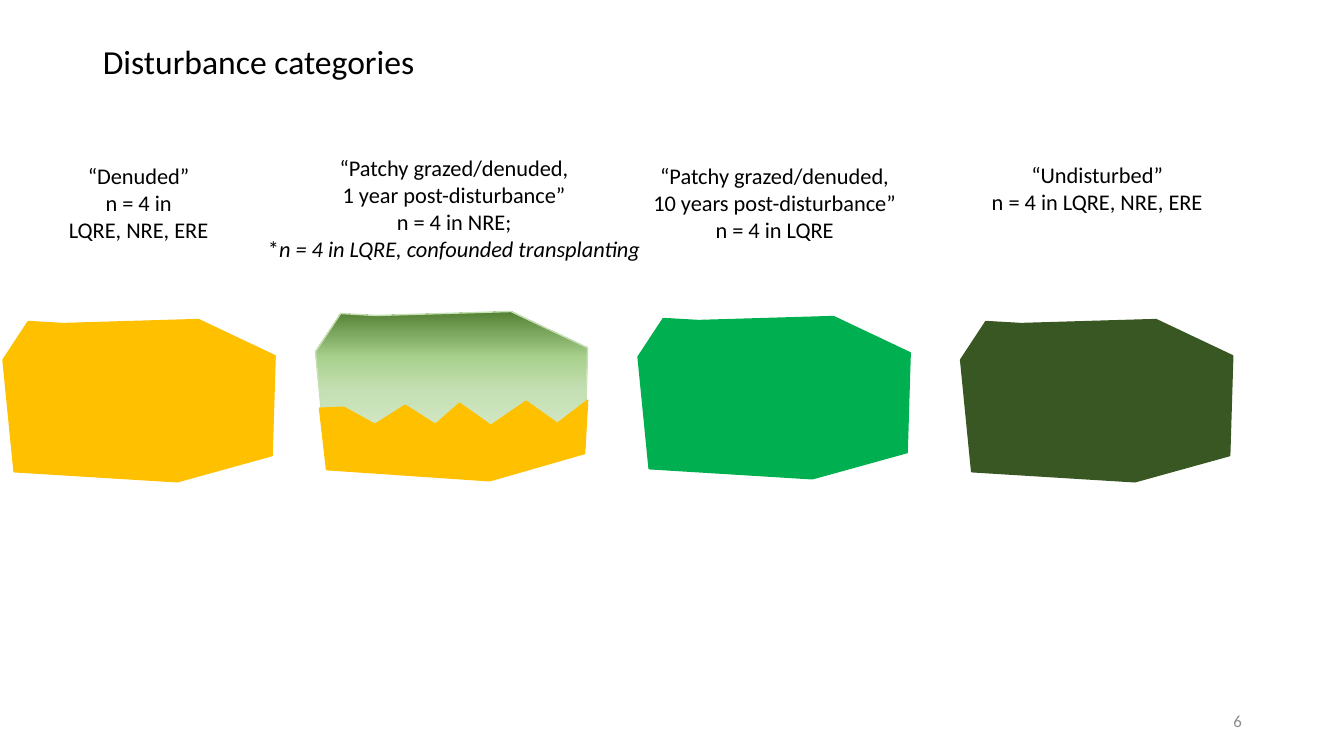
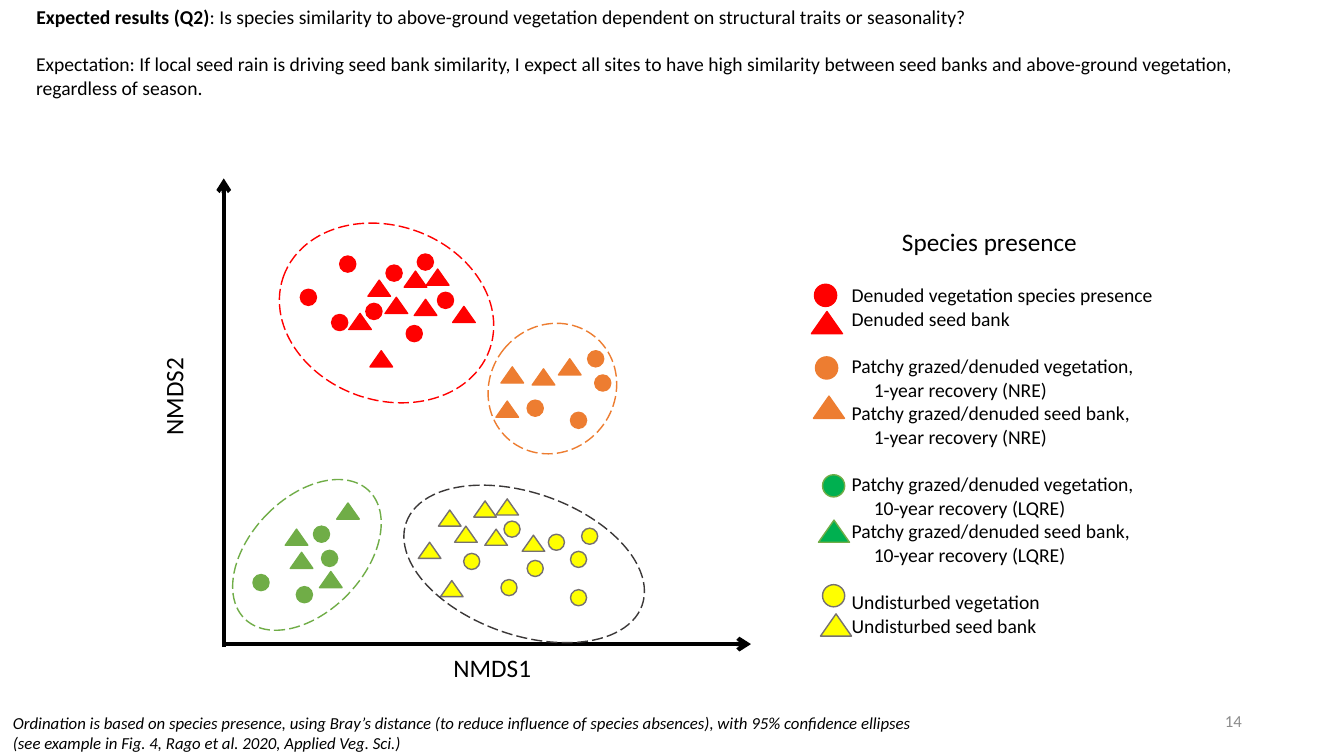
"""Build two slides on disturbance categories and expected seed bank results."""
from copy import deepcopy
from dataclasses import dataclass
from typing import Any

from lxml import etree
from pptx import Presentation
from pptx import util as u
from pptx.dml import color as dml_color
from pptx.enum import dml, shapes, text
from pptx.oxml import ns

CELL = u.Inches(0.1)
COLUMNS, ROWS = 133.33, 75
FONT = "Calibri"
BLACK, GREY = "000000", "8C8C8C"
AMBER, GREEN, PALE_GREEN, DARK_GREEN = "FFC000", "00B050", "C5E0B4", "385723"
RED, ORANGE, LEAF, YELLOW = "FF0000", "ED7D31", "70AD47", "FFFF00"
MARKER_EDGE, ELLIPSE_EDGE = "767171", "3B3838"

MEADOW_STOPS = ((0, "E2F0D9"), (0.51, PALE_GREEN), (0.71, "A9D18E"), (1, "548235"))
PLOT_OUTLINE = ((25, 2), (0, 40), (11, 151), (173, 161), (267, 135), (270, 36), (194, 0), (60, 4))
BARE_OUTLINE = ((266, 0), (236, 23), (205, 1), (170, 25), (139, 3), (115, 24), (85, 5), (55, 24),
                (24, 7), (0, 8), (7, 69), (169, 80), (263, 53))

PLAIN_BOX = {"word_wrap": False, "auto_size": text.MSO_AUTO_SIZE.NONE,
             "vertical_anchor": text.MSO_ANCHOR.TOP}
WRAPPED_BOX = PLAIN_BOX | {"word_wrap": True}
MIDDLE_BOX = WRAPPED_BOX | {"vertical_anchor": text.MSO_ANCHOR.MIDDLE}
LEFT = {"alignment": text.PP_ALIGN.LEFT}
CENTRED = {"alignment": text.PP_ALIGN.CENTER}
RIGHT = {"alignment": text.PP_ALIGN.RIGHT}
TITLE_PARAGRAPH = LEFT | {"line_spacing": 0.9}

Box = tuple[float, float, float, float]
Point = tuple[float, float]


@dataclass(frozen=True)
class Run:
    words: str
    bold: bool = False
    italic: bool = False


@dataclass(frozen=True)
class Line:
    runs: tuple[Run, ...]
    indent: float = 0
    gap: float = 0


@dataclass(frozen=True)
class Category:
    corner: Point
    fill: str
    label_box: Box
    label: tuple[Line, ...]


@dataclass(frozen=True)
class Cluster:
    fill: str
    edge: str
    key_fill: str
    key_circle: Point
    key_triangle: Point
    ellipse: Box
    tilt: float
    ellipse_edge: str
    circles: tuple[Point, ...]
    triangles: tuple[Point, ...]


def plain(*sentences: str) -> tuple[Line, ...]:
    """Make one unstyled line per sentence."""
    return tuple(Line((Run(words),)) for words in sentences)


def key_entry(first: str, recovery: str = "", gap: float = 0) -> tuple[Line, ...]:
    """Make a legend entry with an optional indented second line."""
    entry = (Line((Run(first),), gap=gap),)
    return entry + ((Line((Run(recovery),), indent=2.2),) if recovery else ())


CATEGORIES = (
    Category((0.3, 31.7), AMBER, (5.7, 15.6, 16.1, 9.1),
             plain("“Denuded”", "n = 4 in", "LQRE, NRE, ERE")),
    Category((31.3, 30.9), "", (25.3, 14.8, 39.5, 11.8),
             plain("“Patchy grazed/denuded,", "1 year post-disturbance”", "n = 4 in NRE;")
             + (Line((Run("*"), Run("n = 4 in LQRE, confounded transplanting", italic=True))),)),
    Category((63.3, 31.4), GREEN, (63.6, 15.6, 26.5, 9.1),
             plain("“Patchy grazed/denuded,", "10 years post-disturbance”", "n = 4 in LQRE")),
    Category((95.3, 31.7), DARK_GREEN, (97.2, 15.5, 23.3, 6.4),
             plain("“Undisturbed”", "n = 4 in LQRE, NRE, ERE")),
)

CLUSTERS = (
    Cluster(RED, RED, RED, (80.8, 28.2), (80.5, 30.9), (27.5, 22.4, 21.7, 17.3), 19.3, RED,
            ((33.7, 25.4), (29.8, 28.7), (43.4, 29), (36.3, 30.1),
             (32.9, 31.2), (41.4, 25.2), (38.3, 26.3), (40.3, 32.3)),
            ((36.5, 27.8), (38.2, 29.5), (40.1, 26.9), (41.1, 29.7),
             (36.7, 34.8), (44.9, 30.4), (42.3, 26.7), (34.6, 31.1))),
    Cluster(ORANGE, ORANGE, ORANGE, (80.9, 35.4), (80.7, 39.3),
            (48.6, 31.9, 12.4, 13.3), 39, ORANGE,
            ((52.3, 39.7), (59, 37.2), (56.6, 40.9), (58.3, 34.8)),
            ((52.8, 36.6), (49.2, 39.8), (55.4, 35.6), (49.7, 36.4))),
    Cluster(LEAF, LEAF, GREEN, (81.6, 47.1), (81.2, 51.6), (24.8, 46.2, 11.3, 17.7), 44, LEAF,
            ((25.1, 57), (31.9, 54.6), (29.4, 58.2), (31.1, 52.2)),
            ((33.4, 49.9), (31.7, 56.7), (28.8, 54.8), (28.3, 52.5))),
    Cluster(YELLOW, MARKER_EDGE, YELLOW, (81.6, 58), (81.4, 60.9),
            (39.6, 48.9, 24.8, 14.1), 19.3, ELLIPSE_EDGE,
            ((50, 51.7), (46, 54.9), (56.6, 54.7), (52.3, 55.6),
             (49.7, 57.5), (57.7, 52.4), (54.4, 53), (56.6, 58.5)),
            ((43.5, 50.6), (45.1, 52.2), (47, 49.7), (48.1, 52.5),
             (43.7, 57.6), (51.8, 53.1), (49.2, 49.5), (41.5, 53.8))),
)

BLOCK_GAP = 17
KEY_LINES = (
    key_entry("Denuded vegetation species presence")
    + key_entry("Denuded seed bank")
    + key_entry("Patchy grazed/denuded vegetation,", "1-year recovery (NRE)", BLOCK_GAP)
    + key_entry("Patchy grazed/denuded seed bank,", "1-year recovery (NRE)")
    + key_entry("Patchy grazed/denuded vegetation,", "10-year recovery (LQRE)", BLOCK_GAP)
    + key_entry("Patchy grazed/denuded seed bank,", "10-year recovery (LQRE)")
    + key_entry("Undisturbed vegetation", gap=BLOCK_GAP)
    + key_entry("Undisturbed seed bank")
)


def cells(*lengths: float) -> list[u.Emu]:
    """Convert grid lengths to drawing units."""
    return [u.Emu(round(length * CELL)) for length in lengths]


def rgb(value: str) -> dml_color.RGBColor:
    """Turn a hex string into a colour."""
    return dml_color.RGBColor.from_string(value)


def apply(target: Any, values: dict[str, Any]) -> None:
    """Set every attribute named in a format dict."""
    for name, value in values.items():
        setattr(target, name, value)


def write(shape: Any, lines: tuple[Line, ...], size: float, frame_format: dict[str, Any],
          paragraph_format: dict[str, Any], color: str = BLACK) -> None:
    """Fill a shape's text frame with formatted lines."""
    frame = shape.text_frame
    apply(frame, frame_format)
    for index, line in enumerate(lines):
        paragraph = frame.add_paragraph() if index else frame.paragraphs[0]
        apply(paragraph, paragraph_format | {"space_before": u.Pt(line.gap)})
        if line.indent:
            paragraph._p.get_or_add_pPr().set("marL", str(cells(line.indent)[0]))
        for part in line.runs:
            run = paragraph.add_run()
            run.text = part.words
            apply(run.font, {"name": FONT, "size": u.Pt(size),
                             "bold": part.bold, "italic": part.italic})
            run.font.color.rgb = rgb(color)


def add_text(slide: Any, box: Box, lines: tuple[Line, ...], size: float,
             frame_format: dict[str, Any] = PLAIN_BOX,
             paragraph_format: dict[str, Any] = LEFT, color: str = BLACK) -> Any:
    """Add a text box on the grid."""
    label = slide.shapes.add_textbox(*cells(*box))
    write(label, lines, size, frame_format, paragraph_format, color)
    return label


def add_titled_slide(deck: Any, box: Box, title: Line, size: float, number: int,
                     paragraph_format: dict[str, Any]) -> Any:
    """Add a title-only slide with its heading and slide number."""
    slide = deck.slides.add_slide(deck.slide_layouts[5])
    heading = slide.shapes.title
    apply(heading, dict(zip(("left", "top", "width", "height"), cells(*box))))
    write(heading, (title,), size, WRAPPED_BOX, paragraph_format)
    add_text(slide, (94.2, 69.5, 30, 4), plain(str(number)), 12, MIDDLE_BOX, RIGHT, GREY)
    return slide


def finish(shape: Any, fill: str, edge: str) -> None:
    """Give a shape its fill and thin edge without a shadow."""
    shape.shadow.inherit = False
    if fill:
        shape.fill.solid()
        shape.fill.fore_color.rgb = rgb(fill)
    else:
        shape.fill.background()
    shape.line.color.rgb = rgb(edge)
    shape.line.width = u.Pt(1)


def add_outline(slide: Any, corner: Point, outline: tuple[Point, ...], fill: str,
                edge: str) -> Any:
    """Draw a closed outline given in tenths of a grid cell."""
    builder = slide.shapes.build_freeform(*outline[0], scale=CELL / 10)
    builder.add_line_segments(outline[1:], close=True)
    plot = builder.convert_to_shape(*cells(*corner))
    finish(plot, fill, edge)
    return plot


def add_patchy_plot(slide: Any, corner: Point) -> None:
    """Draw a graded green plot with a bare jagged lower half."""
    meadow = add_outline(slide, corner, PLOT_OUTLINE, PALE_GREEN, PALE_GREEN)
    meadow.fill.gradient()
    meadow.fill.gradient_angle = 90
    stops = meadow._element.spPr.find(".//" + ns.qn("a:gsLst"))
    stops.extend([deepcopy(stop) for stop in stops])
    for stop, (position, color) in zip(meadow.fill.gradient_stops, MEADOW_STOPS):
        stop.position = position
        stop.color.rgb = rgb(color)
    add_outline(slide, (corner[0] + 0.4, corner[1] + 8.8), BARE_OUTLINE, AMBER, AMBER)


def add_marker(slide: Any, kind: Any, corner: Point, height: float, fill: str,
               edge: str) -> None:
    """Draw a circle or triangle marker."""
    width = height * (1.4 if kind == shapes.MSO_SHAPE.ISOSCELES_TRIANGLE else 1)
    finish(slide.shapes.add_shape(kind, *cells(*corner, width, height)), fill, edge)


def add_axis(slide: Any, start: Point, tip: Point) -> None:
    """Draw a thick axis with an open arrowhead at its tip."""
    axis = slide.shapes.add_connector(shapes.MSO_CONNECTOR.STRAIGHT, *cells(*start, *tip))
    axis.line.color.rgb = rgb(BLACK)
    axis.line.width = u.Pt(3)
    etree.SubElement(axis.line._get_or_add_ln(), ns.qn("a:tailEnd"), type="arrow")
    etree.SubElement(axis._element.spPr, ns.qn("a:effectLst"))


def add_cluster(slide: Any, cluster: Cluster) -> None:
    """Draw a cluster's markers, legend keys and confidence ellipse."""
    kinds = ((shapes.MSO_SHAPE.OVAL, cluster.circles, cluster.key_circle),
             (shapes.MSO_SHAPE.ISOSCELES_TRIANGLE, cluster.triangles, cluster.key_triangle))
    for kind, corners, key_corner in kinds:
        add_marker(slide, kind, key_corner, 2.2, cluster.key_fill, cluster.edge)
        for corner in corners:
            add_marker(slide, kind, corner, 1.6, cluster.fill, cluster.edge)
    ellipse = slide.shapes.add_shape(shapes.MSO_SHAPE.OVAL, *cells(*cluster.ellipse))
    finish(ellipse, "", cluster.ellipse_edge)
    ellipse.rotation = cluster.tilt
    ellipse.line.dash_style = dml.MSO_LINE.LONG_DASH


def build_categories(deck: Any) -> None:
    """Build the slide of disturbance categories."""
    slide = add_titled_slide(deck, (9.2, 4, 115, 14.5), Line((Run("Disturbance categories"),)),
                             24, 6, TITLE_PARAGRAPH)
    for category in CATEGORIES:
        if category.fill:
            add_outline(slide, category.corner, PLOT_OUTLINE, category.fill, category.fill)
        else:
            add_patchy_plot(slide, category.corner)
        add_text(slide, category.label_box, category.label, 16, paragraph_format=CENTRED)


def build_results(deck: Any) -> None:
    """Build the slide of expected ordination results."""
    question = Line((Run("Expected results (Q2)", bold=True),
                     Run(": Is species similarity to above-ground vegetation dependent on "
                         "structural traits or seasonality?")))
    slide = add_titled_slide(deck, (2.6, 0, 125.3, 3.6), question, 14, 14, LEFT)
    add_text(slide, (2.6, 4.7, 125.3, 6), plain(
        "Expectation: If local seed rain is driving seed bank similarity, I expect all sites to "
        "have high similarity between seed banks and above-ground vegetation, regardless of "
        "season."), 14, WRAPPED_BOX)
    notes = ("Ordination is based on species presence, using Bray’s distance (to reduce influence "
             "of species absences), with 95% confidence ellipses",
             "(see example in Fig. 4, Rago et al. 2020, Applied Veg. Sci.)")
    add_text(slide, (0.3, 70.2, 92.3, 5),
             tuple(Line((Run(note, italic=True),)) for note in notes), 12)
    add_axis(slide, (22.2, 64.2), (22.2, 17.7))
    add_axis(slide, (22.4, 63.9), (74.5, 63.9))
    add_text(slide, (44, 64.2, 9.8, 4), plain("NMDS1"), 18)
    add_text(slide, (12.3, 37.3, 9.8, 4), plain("NMDS2"), 18).rotation = 270
    add_text(slide, (88.5, 22, 19.6, 4), plain("Species presence"), 18)
    add_text(slide, (83.5, 27.6, 32.2, 36.4), KEY_LINES, 14)
    for cluster in CLUSTERS:
        add_cluster(slide, cluster)


def main() -> None:
    """Build and save the deck."""
    deck = Presentation()
    deck.slide_width, deck.slide_height = cells(COLUMNS, ROWS)
    build_categories(deck)
    build_results(deck)
    deck.save("out.pptx")


if __name__ == "__main__":
    main()
